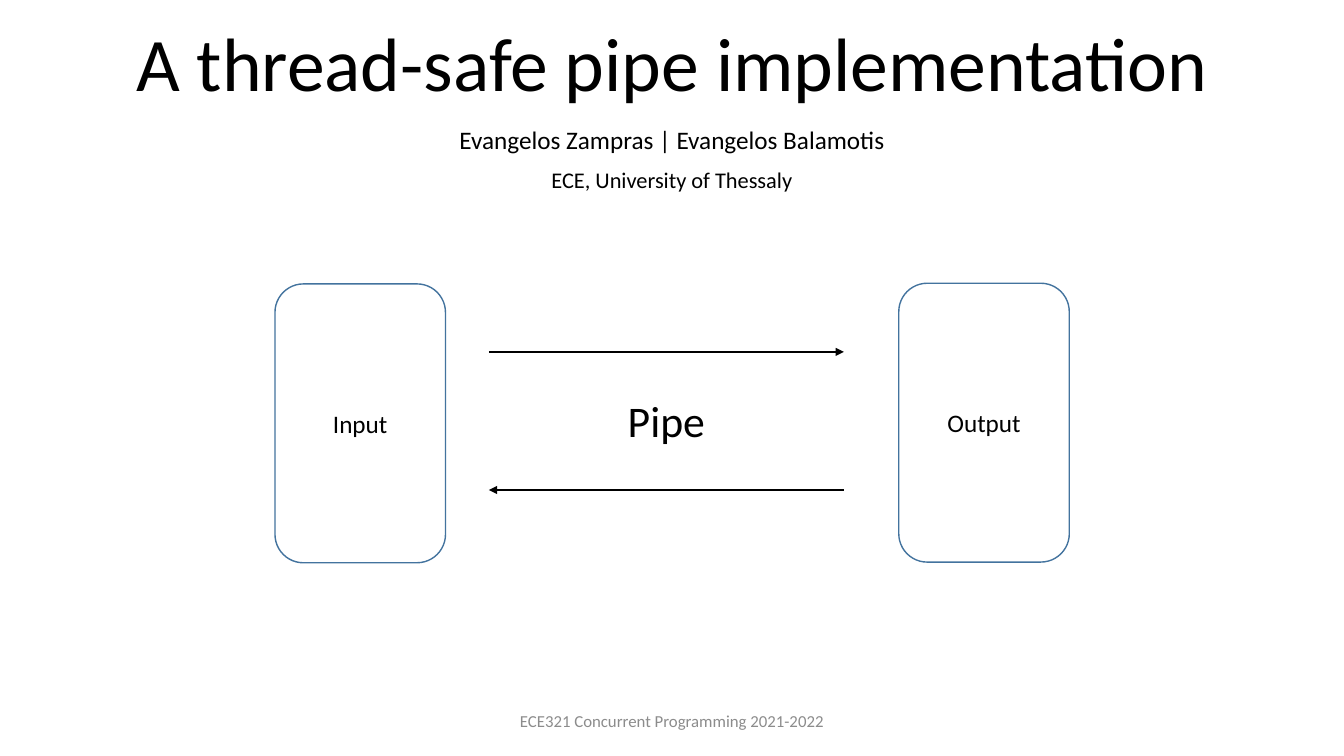
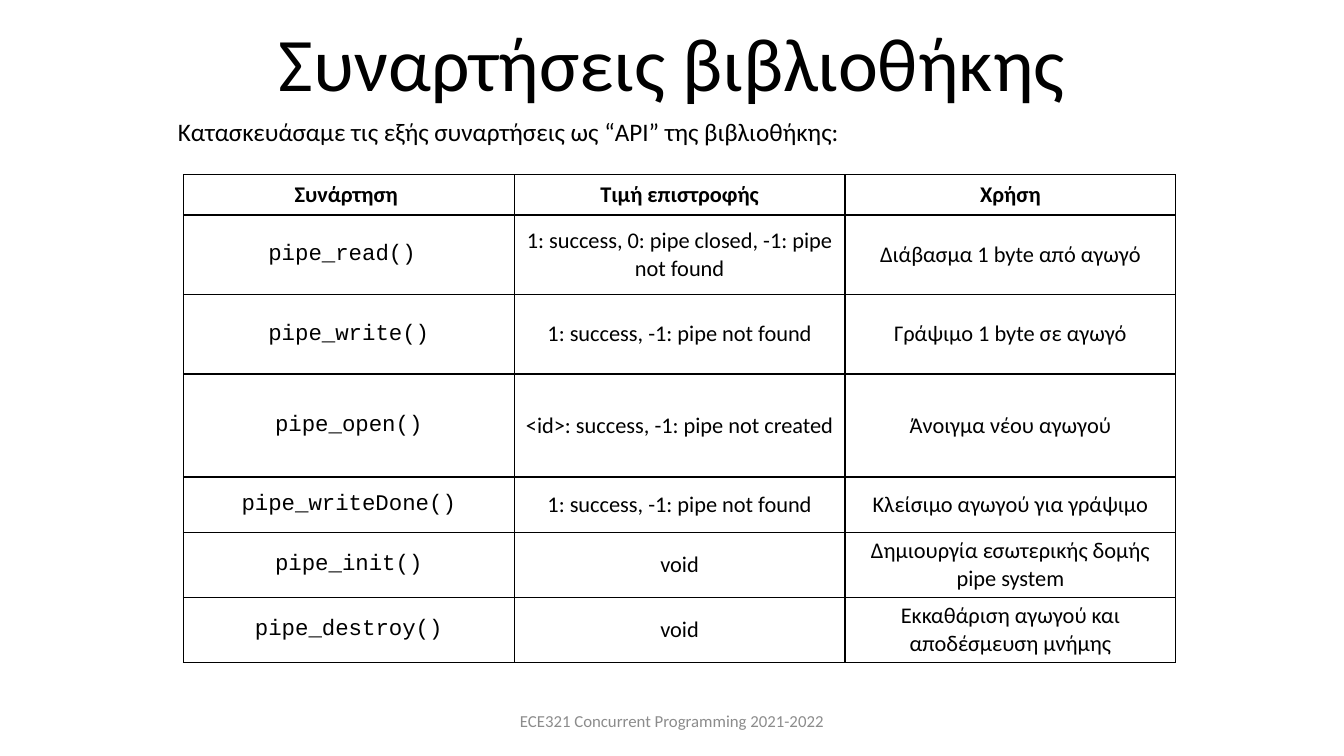
from dataclasses import dataclass

from lxml import etree
from pptx import Presentation
from pptx.dml.color import RGBColor
from pptx.enum import shapes, text
from pptx.oxml import ns
from pptx.util import Pt

CENTER, LEFT = text.PP_ALIGN.CENTER, text.PP_ALIGN.LEFT
TOP, MIDDLE, BOTTOM = (text.MSO_ANCHOR.TOP, text.MSO_ANCHOR.MIDDLE,
                       text.MSO_ANCHOR.BOTTOM)


@dataclass(frozen=True)
class Theme:
    ink: str = "000000"
    muted: str = "8C8C8C"
    outline: str = "43739E"
    font: str = "Calibri"
    code_font: str = "Courier New"
    title: float = 54
    pipe: float = 31.2
    body: float = 18
    small: float = 16
    footer: float = 12
    tight: float = 0.9


THEME = Theme()

API_ROWS = [
    ("Συνάρτηση ", "Τιμή επιστροφής", "Χρήση"),
    ("pipe_read() ", "1: success, 0: pipe closed, -1: pipe not found",
     "Διάβασμα 1 byte από αγωγό"),
    ("pipe_write()", "1: success, -1: pipe not found", "Γράψιμο 1 byte σε αγωγό"),
    ("pipe_open()", "<id>: success, -1: pipe not created", "Άνοιγμα νέου αγωγού"),
    ("pipe_writeDone()", "1: success, -1: pipe not found",
     "Κλείσιμο αγωγού για γράψιμο"),
    ("pipe_init()", "void", "Δημιουργία εσωτερικής δομής pipe system"),
    ("pipe_destroy()", "void", "Εκκαθάριση αγωγού και αποδέσμευση μνήμης"),
]
API_HEIGHTS = [28.8, 56.8, 56.8, 73.6, 39.6, 46.4, 46.4]


def write(frame, content, *, size=THEME.body, font=THEME.font, color=THEME.ink,
          bold=False, align=CENTER, spacing=1.0, before=0, new=False):
    """Fill the first paragraph of a frame, or add another one if new."""
    para = frame.add_paragraph() if new else frame.paragraphs[0]
    para.alignment = align
    para.line_spacing = spacing
    para.space_before = Pt(before)
    span = para.add_run()
    span.text = content
    span.font.size = Pt(size)
    span.font.name = font
    span.font.bold = bold
    span.font.color.rgb = RGBColor.from_string(color)


def add_text(parent, area, content, *, anchor=TOP, **style):
    box = parent.add_textbox(*map(Pt, area))
    frame = box.text_frame
    frame.word_wrap = True
    frame.vertical_anchor = anchor
    write(frame, content, **style)
    return frame


def add_node(parent, area, label):
    node = parent.add_shape(shapes.MSO_SHAPE.ROUNDED_RECTANGLE, *map(Pt, area))
    node.shadow.inherit = False
    node.fill.background()
    node.line.color.rgb = RGBColor.from_string(THEME.outline)
    node.line.width = Pt(1)
    node.text_frame.word_wrap = True
    node.text_frame.vertical_anchor = MIDDLE
    write(node.text_frame, label)


def add_arrow(parent, start, end, y):
    arrow = parent.add_connector(shapes.MSO_CONNECTOR.STRAIGHT,
                                 Pt(start), Pt(y), Pt(end), Pt(y))
    arrow.line.color.rgb = RGBColor.from_string(THEME.ink)
    arrow.line.width = Pt(1.5)
    etree.SubElement(arrow.line._get_or_add_ln(), ns.qn("a:tailEnd"),
                     type="triangle")
    etree.SubElement(arrow._element.spPr, ns.qn("a:effectLst"))


def add_borders(cell):
    properties = cell._tc.get_or_add_tcPr()
    for side in ("lnL", "lnR", "lnT", "lnB"):
        line = etree.SubElement(properties, ns.qn(f"a:{side}"), w=str(Pt(1)))
        fill = etree.SubElement(line, ns.qn("a:solidFill"))
        etree.SubElement(fill, ns.qn("a:srgbClr"), val=THEME.ink)


def add_grid(parent, left, top, column_width, heights, rows):
    """Add a ruled table with a bold header and code in its first column."""
    columns = len(rows[0])
    table = parent.add_table(len(rows), columns, Pt(left), Pt(top),
                             Pt(column_width * columns), Pt(sum(heights))).table
    table.first_row = table.horz_banding = False
    for column in table.columns:
        column.width = Pt(column_width)
    for r, (height, row) in enumerate(zip(heights, rows)):
        table.rows[r].height = Pt(height)
        for c, content in enumerate(row):
            cell = table.cell(r, c)
            add_borders(cell)
            cell.fill.background()
            cell.vertical_anchor = MIDDLE
            is_code = r > 0 and c == 0
            write(cell.text_frame, content, size=THEME.small, bold=r == 0,
                  font=THEME.code_font if is_code else THEME.font)


def add_page(deck, title):
    page = deck.slides.add_slide(deck.slide_layouts[6])
    add_text(page.shapes, (75, 15, 810, 65.5), title, anchor=BOTTOM,
             size=THEME.title, spacing=THEME.tight)
    add_text(page.shapes, (318, 500.5, 324, 28.8),
             "ECE321 Concurrent Programming 2021-2022", anchor=MIDDLE,
             size=THEME.footer, color=THEME.muted)
    return page


def build_cover(deck):
    page = add_page(deck, "A thread-safe pipe implementation")
    authors = add_text(page.shapes, (120, 87.8, 720, 54.7),
                       "Evangelos Zampras | Evangelos Balamotis",
                       spacing=THEME.tight)
    write(authors, "ECE, University of Thessaly", size=THEME.small,
          spacing=THEME.tight, before=10, new=True)

    diagram = page.shapes.add_group_shape().shapes
    add_node(diagram, (196.4, 202.8, 121.8, 199.2), "Input")
    add_node(diagram, (642, 202.3, 121.8, 199.2), "Output")
    add_arrow(diagram, 349.2, 602.8, 251.4)
    add_arrow(diagram, 602.8, 349.2, 350)
    add_text(diagram, (394, 269.3, 164, 53.3), "Pipe", anchor=BOTTOM,
             size=THEME.pipe, spacing=THEME.tight)


def build_api(deck):
    page = add_page(deck, "Συναρτήσεις βιβλιοθήκης")
    add_text(page.shapes, (120, 82, 720, 26.6),
             "Κατασκευάσαμε τις εξής συναρτήσεις ως “API” της βιβλιοθήκης:",
             align=LEFT, spacing=THEME.tight)
    add_grid(page.shapes, 131, 124.8, 236.3, API_HEIGHTS, API_ROWS)


def main():
    deck = Presentation()
    deck.slide_width, deck.slide_height = Pt(960), Pt(540)
    build_cover(deck)
    build_api(deck)
    deck.save("out.pptx")


if __name__ == "__main__":
    main()
